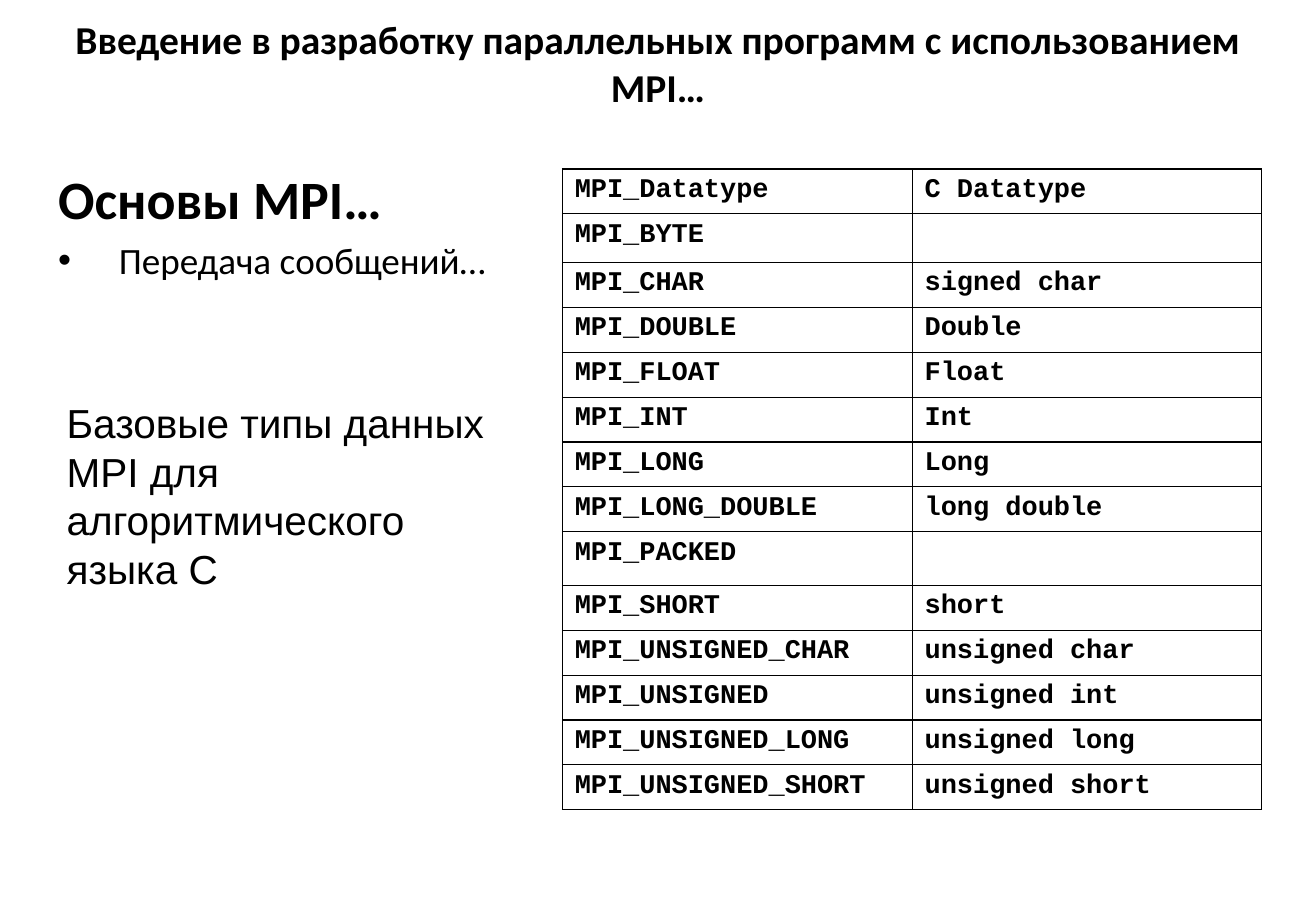
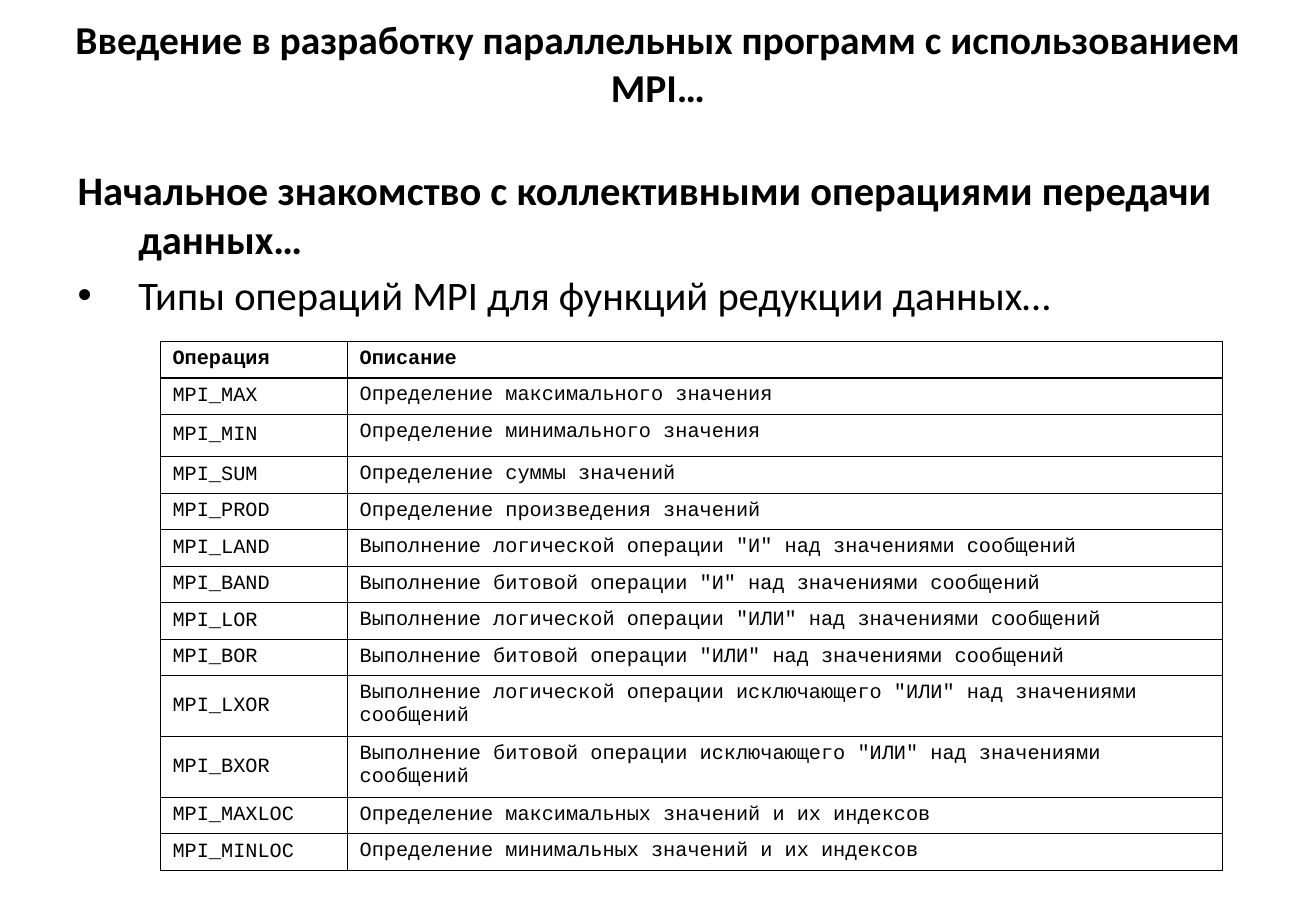
from pptx import Presentation
from pptx.dml.color import RGBColor
from pptx.enum.text import MSO_ANCHOR, PP_ALIGN
from pptx.oxml.ns import qn
from pptx.util import Inches, Pt
from lxml import etree

LEFT, CENTER, JUSTIFY = PP_ALIGN.LEFT, PP_ALIGN.CENTER, PP_ALIGN.JUSTIFY
TOP, MIDDLE = MSO_ANCHOR.TOP, MSO_ANCHOR.MIDDLE
INK, PAPER = "000000", "FFFFFF"
BODY_FONT, NOTE_FONT, CODE_FONT = "Calibri", "Arial", "Courier New"
TITLE = "Введение в разработку параллельных программ с использованием MPI…"
TITLE_BOX = (0.45, 0.21, 9.93, 0.61)
HANGING = 0.5

DATATYPES = [
    ("MPI_Datatype", "C Datatype"),
    ("MPI_BYTE", ""),
    ("MPI_CHAR", "signed char"),
    ("MPI_DOUBLE", "Double"),
    ("MPI_FLOAT", "Float"),
    ("MPI_INT", "Int"),
    ("MPI_LONG", "Long"),
    ("MPI_LONG_DOUBLE", "long double"),
    ("MPI_PACKED", ""),
    ("MPI_SHORT", "short"),
    ("MPI_UNSIGNED_CHAR", "unsigned char"),
    ("MPI_UNSIGNED", "unsigned int"),
    ("MPI_UNSIGNED_LONG", "unsigned long"),
    ("MPI_UNSIGNED_SHORT", "unsigned short"),
]
OPERATIONS = [
    ("Операция", "Описание"),
    ("MPI_MAX", "Определение максимального значения"),
    ("MPI_MIN", "Определение минимального значения"),
    ("MPI_SUM", "Определение суммы значений"),
    ("MPI_PROD", "Определение произведения значений"),
    ("MPI_LAND", 'Выполнение логической операции "И" над значениями сообщений'),
    ("MPI_BAND", 'Выполнение битовой операции "И" над значениями сообщений'),
    ("MPI_LOR", 'Выполнение логической операции "ИЛИ" над значениями сообщений'),
    ("MPI_BOR", 'Выполнение битовой операции "ИЛИ" над значениями сообщений'),
    ("MPI_LXOR", 'Выполнение логической операции исключающего "ИЛИ" над значениями сообщений'),
    ("MPI_BXOR", 'Выполнение битовой операции исключающего "ИЛИ" над значениями сообщений'),
    ("MPI_MAXLOC", "Определение максимальных значений и их индексов"),
    ("MPI_MINLOC", "Определение минимальных значений и их индексов"),
]


def color(value):
    """Turn a hex string into a colour."""
    return RGBColor.from_string(value)


def add_run(paragraph, text, size, font, bold=False):
    """Add one formatted run to a paragraph."""
    run = paragraph.add_run()
    run.text = text
    run.font.size = Pt(size)
    run.font.name = font
    run.font.bold = bold
    run.font.color.rgb = color(INK)


def add_text_frame(slide, box, anchor=TOP):
    """Add a wrapping text box and return its text frame."""
    frame = slide.shapes.add_textbox(*map(Inches, box)).text_frame
    frame.word_wrap = True
    frame.vertical_anchor = anchor
    return frame


def add_title(slide, box):
    """Add the shared slide title."""
    paragraph = add_text_frame(slide, box, MIDDLE).paragraphs[0]
    paragraph.alignment = CENTER
    add_run(paragraph, TITLE, 23.4, BODY_FONT, bold=True)


def set_hanging_indent(paragraph, bullet=None):
    """Hang the first line to the left, with a bullet if one is given."""
    properties = paragraph._p.get_or_add_pPr()
    properties.set("marL", str(Inches(HANGING)))
    properties.set("indent", str(-Inches(HANGING)))
    if bullet:
        etree.SubElement(properties, qn("a:buFont")).set("typeface", "Arial")
        etree.SubElement(properties, qn("a:buChar")).set("char", bullet)


def add_topic(slide, box, heading, heading_size, point, point_size, alignment=LEFT):
    """Add a bold heading with one bulleted point under it."""
    frame = add_text_frame(slide, box)
    paragraph = frame.paragraphs[0]
    paragraph.alignment = alignment
    set_hanging_indent(paragraph)
    add_run(paragraph, heading, heading_size, BODY_FONT, bold=True)
    paragraph = frame.add_paragraph()
    paragraph.space_before = Pt(0.2 * point_size)
    set_hanging_indent(paragraph, "•")
    add_run(paragraph, point, point_size, BODY_FONT)


def add_note(slide, box, text):
    """Add a plain note."""
    add_run(add_text_frame(slide, box).paragraphs[0], text, 24, NOTE_FONT)


def set_borders(cell, top, bottom):
    """Draw 1 pt sides and the given top and bottom widths on a cell."""
    properties = cell._tc.get_or_add_tcPr()
    for tag, width in (("lnL", 1), ("lnR", 1), ("lnT", top), ("lnB", bottom)):
        line = etree.SubElement(properties, qn("a:" + tag), w=str(Pt(width)))
        fill = etree.SubElement(line, qn("a:solidFill"))
        etree.SubElement(fill, qn("a:srgbClr"), val=INK)


def add_grid(slide, box, rows, column_widths, row_height, tall_rows, size,
             bold_body=True, name_anchor=TOP, text_alignment=JUSTIFY):
    """Add a ruled two-column table; tall_rows maps row number to height."""
    shape = slide.shapes.add_table(len(rows), len(column_widths), *map(Inches, box))
    table = shape.table
    table.first_row = table.horz_banding = False
    for column, width in zip(table.columns, column_widths):
        column.width = Inches(width)
    last = len(rows) - 1
    for row_index, texts in enumerate(rows):
        table.rows[row_index].height = Inches(tall_rows.get(row_index, row_height))
        is_header = row_index == 0
        top = 1 if row_index <= 1 else 0.75
        bottom = 1 if row_index in (0, last) else 0.75
        for column_index, text in enumerate(texts):
            cell = table.cell(row_index, column_index)
            set_borders(cell, top, bottom)
            cell.fill.background()
            is_name = column_index == 0
            cell.vertical_anchor = name_anchor if is_name and not is_header else TOP
            paragraph = cell.text_frame.paragraphs[0]
            paragraph.alignment = JUSTIFY if is_name or is_header else text_alignment
            if text:
                add_run(paragraph, text, size, CODE_FONT, is_header or bold_body)


def add_slide(presentation):
    """Add a blank slide with the shared background and title."""
    slide = presentation.slides.add_slide(presentation.slide_layouts[6])
    slide.background.fill.solid()
    slide.background.fill.fore_color.rgb = color(PAPER)
    add_title(slide, TITLE_BOX)
    return slide


def build_datatypes(presentation):
    """Build the slide on basic MPI data types."""
    slide = add_slide(presentation)
    add_topic(slide, (0.38, 1.31, 4.17, 1.34), "Основы MPI…", 32,
              "Передача сообщений…", 22, JUSTIFY)
    add_grid(slide, (4.63, 1.39, 5.75, 5.28), DATATYPES, (2.88, 2.87),
             0.37, {1: 0.4, 8: 0.44}, 16)
    add_note(slide, (0.45, 3.23, 3.78, 1.7),
             "Базовые типы данных MPI для алгоритмического языка C")


def build_operations(presentation):
    """Build the slide on reduction operations."""
    slide = add_slide(presentation)
    add_topic(slide, (0.54, 1.31, 9.91, 1.42),
              "Начальное знакомство с коллективными операциями передачи данных…", 24,
              "Типы операций MPI для функций редукции данных…", 24)
    add_grid(slide, (1.32, 2.81, 8.74, 4.2), OPERATIONS, (1.54, 7.2),
             0.28, {2: 0.35, 9: 0.48, 10: 0.48}, 12,
             bold_body=False, name_anchor=MIDDLE, text_alignment=LEFT)


presentation = Presentation()
presentation.slide_width = Inches(10.83)
presentation.slide_height = Inches(7.5)
build_datatypes(presentation)
build_operations(presentation)
presentation.save("out.pptx")
